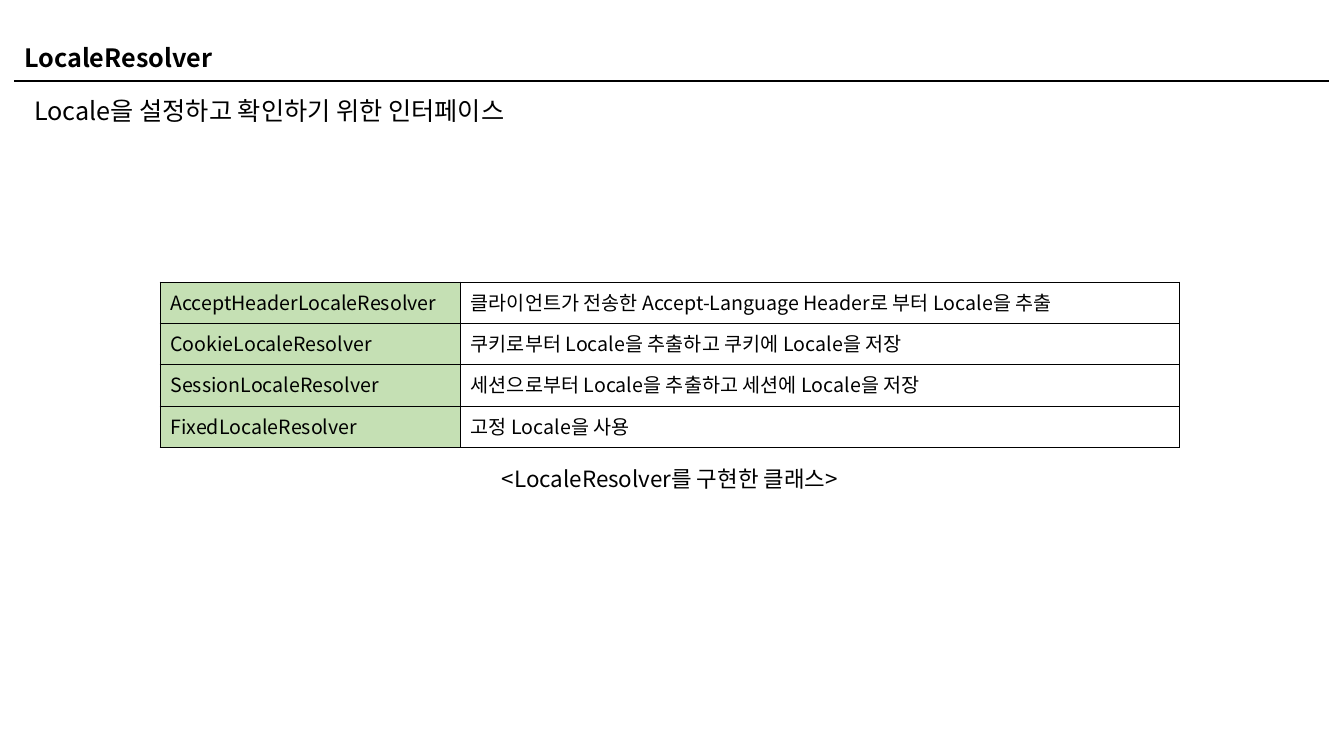
import pptx
import pptx.dml.color
import pptx.enum.shapes
import pptx.enum.text
import pptx.oxml
import pptx.oxml.ns
import pptx.util
from pptx.util import Inches

BLACK = pptx.dml.color.RGBColor(0x00, 0x00, 0x00)
WHITE = pptx.dml.color.RGBColor(0xFF, 0xFF, 0xFF)
GREEN = pptx.dml.color.RGBColor(0xC5, 0xE0, 0xB4)
TITLE_ONLY = 5

RESOLVERS = [
    ("AcceptHeaderLocaleResolver", "클라이언트가 전송한 Accept-Language Header로 부터 Locale을 추출"),
    ("CookieLocaleResolver", "쿠키로부터 Locale을 추출하고 쿠키에 Locale을 저장"),
    ("SessionLocaleResolver", "세션으로부터 Locale을 추출하고 세션에 Locale을 저장"),
    ("FixedLocaleResolver", "고정 Locale을 사용"),
]


class SlideBuilder:
    font = "Noto Sans CJK KR"

    def __init__(self, page):
        self.page = page

    def add_text(self, frame, text, size, bold=False):
        para = frame.paragraphs[0]
        para.alignment = pptx.enum.text.PP_ALIGN.LEFT
        span = para.add_run()
        span.text = text
        span.font.size = pptx.util.Pt(size)
        span.font.bold = bold
        span.font.color.rgb = BLACK
        span.font.name = self.font
        properties = span._r.get_or_add_rPr()
        properties.append(properties.makeelement(pptx.oxml.ns.qn("a:ea"), {"typeface": self.font}))

    def title(self, text, left, top, width, height):
        box = self.page.shapes.title
        box.left, box.top = Inches(left), Inches(top)
        box.width, box.height = Inches(width), Inches(height)
        box.text_frame.vertical_anchor = pptx.enum.text.MSO_ANCHOR.TOP
        box.text_frame.auto_size = pptx.enum.text.MSO_AUTO_SIZE.SHAPE_TO_FIT_TEXT
        self.add_text(box.text_frame, text, 18, bold=True)

    def label(self, text, size, left, top, width, height):
        box = self.page.shapes.add_textbox(Inches(left), Inches(top), Inches(width), Inches(height))
        box.text_frame.word_wrap = False
        box.text_frame.auto_size = pptx.enum.text.MSO_AUTO_SIZE.SHAPE_TO_FIT_TEXT
        self.add_text(box.text_frame, text, size)

    def rule(self, left, right, top):
        line = self.page.shapes.add_connector(
            pptx.enum.shapes.MSO_CONNECTOR.STRAIGHT,
            Inches(left), Inches(top), Inches(right), Inches(top))
        line.line.color.rgb = BLACK
        line.line.width = pptx.util.Pt(1.5)
        properties = line._element.spPr
        properties.append(properties.makeelement(pptx.oxml.ns.qn("a:effectLst"), {}))

    def border(self, cell):
        """Draw a 1 pt black line on all four sides of a cell."""
        properties = cell._tc.get_or_add_tcPr()
        for position, side in enumerate(("lnL", "lnR", "lnT", "lnB")):
            properties.insert(position, pptx.oxml.parse_xml(
                f'<a:{side} {pptx.oxml.ns.nsdecls("a")} w="12700"><a:solidFill>'
                f'<a:srgbClr val="{BLACK}"/></a:solidFill></a:{side}>'))

    def table(self, rows, left, top, widths, row_height):
        table = self.page.shapes.add_table(
            len(rows), len(widths), Inches(left), Inches(top),
            Inches(sum(widths)), Inches(row_height * len(rows))).table
        table.first_row = table.horz_banding = False
        for column, width in zip(table.columns, widths):
            column.width = Inches(width)
        for row, texts in zip(table.rows, rows):
            for cell, text, fill in zip(row.cells, texts, (GREEN, WHITE)):
                cell.fill.solid()
                cell.fill.fore_color.rgb = fill
                self.border(cell)
                self.add_text(cell.text_frame, text, 14)


def main():
    deck = pptx.Presentation()
    deck.slide_width, deck.slide_height = Inches(13.33), Inches(7.5)
    builder = SlideBuilder(deck.slides.add_slide(deck.slide_layouts[TITLE_ONLY]))
    builder.title("LocaleResolver", 0.14, 0.37, 13.04, 0.4)
    builder.rule(0.14, 13.18, 0.8)
    builder.label("Locale을 설정하고 확인하기 위한 인터페이스", 18, 0.24, 0.9, 5.32, 0.4)
    builder.table(RESOLVERS, 1.59, 2.8, (2.98, 7.13), 0.41)
    builder.label("<LocaleResolver를 구현한 클래스>", 16, 4.88, 4.57, 3.73, 0.37)
    deck.save("out.pptx")


if __name__ == "__main__":
    main()
